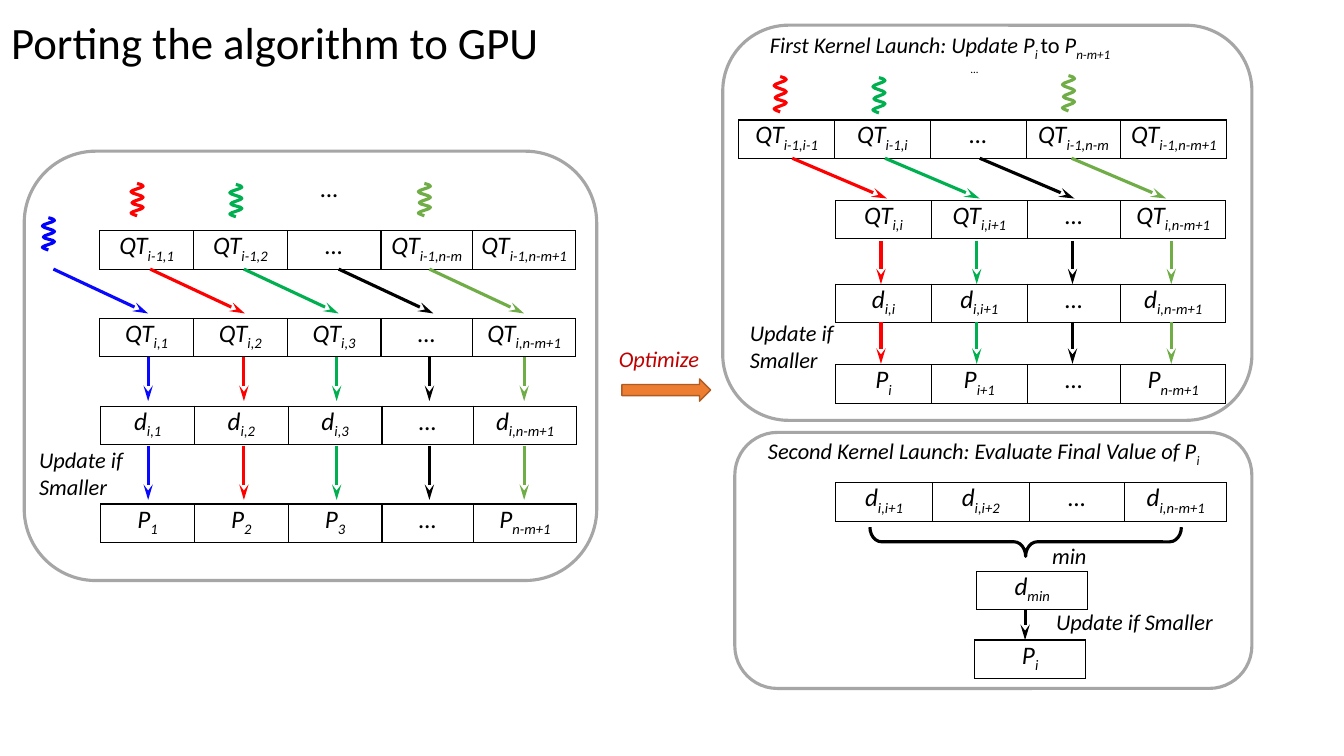
from lxml.etree import SubElement
from pptx import Presentation
from pptx.dml.color import RGBColor
from pptx.enum.shapes import MSO_CONNECTOR, MSO_SHAPE
from pptx.enum.text import MSO_ANCHOR, MSO_AUTO_SIZE, PP_ALIGN
from pptx.oxml import parse_xml
from pptx.oxml.ns import nsdecls, qn
from pptx.util import Inches, Pt

BLACK = RGBColor(0x00, 0x00, 0x00)
RED = RGBColor(0xFF, 0x00, 0x00)
GREEN = RGBColor(0x00, 0xB0, 0x50)
OLIVE = RGBColor(0x70, 0xAD, 0x47)
BLUE = RGBColor(0x08, 0x08, 0xFF)
PURE_BLUE = RGBColor(0x00, 0x00, 0xFF)
GREY = RGBColor(0xA6, 0xA6, 0xA6)
ORANGE = RGBColor(0xED, 0x7D, 0x31)
BROWN = RGBColor(0xAF, 0x5C, 0x24)
CRIMSON = RGBColor(0xC0, 0x00, 0x00)

ROW_HEIGHT = 0.38
LEFT_WIDTHS = [0.93, 0.93, 0.93, 0.91, 1.02]
RIGHT_WIDTHS = [0.95, 0.95, 0.93, 1.04]
LEFT_ROWS = [
    (0.99, 2.29, ["QT_i-1,1", "QT_i-1,2", "…", "QT_i-1,n-m", "QT_i-1,n-m+1"]),
    (0.99, 3.16, ["QT_i,1", "QT_i,2", "QT_i,3", "…", "QT_i,n-m+1"]),
    (1.0, 4.03, ["d_i,1", "d_i,2", "d_i,3", "…", "d_i,n-m+1"]),
    (1.0, 5.0, ["P_1", "P_2", "P_3", "…", "P_n-m+1"]),
]
RIGHT_ROWS = [
    (8.29, 1.99, ["QT_i,i", "QT_i,i+1", "…", "QT_i,n-m+1"]),
    (8.29, 2.82, ["d_i,i", "d_i,i+1", "…", "d_i,n-m+1"]),
    (8.29, 3.62, ["P_i", "P_i+1", "…", "P_n-m+1"]),
]
OTHER_ROWS = [
    (7.33, 1.19, [0.95, 0.95, 0.95, 0.94, 1.05],
     ["QT_i-1,i-1", "QT_i-1,i", "…", "QT_i-1,n-m", "QT_i-1,n-m+1"]),
    (8.29, 4.79, [0.96, 0.96, 0.95, 1.01], ["d_i,i+1", "d_i,i+2", "…", "d_i,n-m+1"]),
    (9.69, 5.67, [1.1], ["d_min"]),
    (9.67, 6.35, [1.1], ["P_i"]),
]
RIGHT_COLORS = [RED, GREEN, BLACK, OLIVE]
LEFT_COLORS = [BLUE] + RIGHT_COLORS
LEFT_CENTERS = [1.47, 2.42, 3.34, 4.26, 5.2]
RIGHT_CENTERS = [8.74, 9.69, 10.64, 11.62]
ARROW_ROWS = [
    (LEFT_COLORS, [0.53, 1.49, 2.42, 3.36, 4.26], 0.94, 2.67, 3.11),
    (LEFT_COLORS, LEFT_CENTERS, 0, 3.54, 3.98),
    (LEFT_COLORS, LEFT_CENTERS, 0, 4.42, 4.96),
    (RIGHT_COLORS, [7.86, 8.78, 9.72, 10.63], 0.94, 1.57, 1.97),
    (RIGHT_COLORS, RIGHT_CENTERS, 0, 2.39, 2.82),
    (RIGHT_COLORS, RIGHT_CENTERS, 0, 3.19, 3.61),
    ([BLACK], [10.17], 0, 6.04, 6.35),
]
THREADS = [
    (0.42, 2.16, 0.32, PURE_BLUE), (1.3, 1.82, 0.32, RED),
    (2.28, 1.83, 0.32, GREEN), (4.15, 1.82, 0.32, OLIVE),
    (7.68, 0.76, 0.35, RED), (8.66, 0.77, 0.35, GREEN), (10.54, 0.75, 0.35, OLIVE),
]
THREAD_HEIGHT = 0.35
THREAD_CURVE = [
    (0.06, 0), (0.1, 0.01), (0.12, 0.02), (0.12, 0.03), (0.11, 0.05), (0, 0.07),
    (0, 0.09), (0, 0.11), (0.12, 0.13), (0.12, 0.15), (0.12, 0.17), (0.01, 0.19),
    (0.01, 0.21), (0.01, 0.23), (0.12, 0.24), (0.12, 0.26), (0.12, 0.28),
    (0.01, 0.3), (0, 0.32), (0, 0.33), (0.06, 0.35), (0.06, 0.35),
]


def write_runs(para, markup, size, color=BLACK):
    """Write italic runs, lowering every second piece between underscores."""
    style = {"name": "Calibri", "size": Pt(size), "italic": True}
    for index, piece in enumerate(markup.split("_")):
        if not piece:
            continue
        span = para.add_run()
        span.text = piece
        for key, value in style.items():
            setattr(span.font, key, value)
        span.font.color.rgb = color
        if index % 2:
            span._r.get_or_add_rPr().set("baseline", "-25000")


def add_row(page, left, top, widths, entries):
    """Add a one-row table with black borders."""
    frame = page.shapes.add_table(1, len(widths), Inches(left), Inches(top),
                                  Inches(sum(widths)), Inches(ROW_HEIGHT))
    table = frame.table
    table.first_row = table.horz_banding = False
    table.rows[0].height = Inches(ROW_HEIGHT)
    for column, width, cell, entry in zip(table.columns, widths, table.rows[0].cells, entries):
        column.width = Inches(width)
        for side in ("left", "right", "top", "bottom"):
            setattr(cell, f"margin_{side}", 0)
        cell.fill.background()
        for index, edge in enumerate(("lnL", "lnR", "lnT", "lnB")):
            border = parse_xml(f'<a:{edge} {nsdecls("a")} w="12700"><a:solidFill>'
                               f'<a:srgbClr val="{BLACK}"/></a:solidFill></a:{edge}>')
            cell._tc.get_or_add_tcPr().insert(index, border)
        para = cell.text_frame.paragraphs[0]
        para.alignment = PP_ALIGN.CENTER
        write_runs(para, entry, 18)


def add_arrow(page, start, end, color):
    """Add a straight arrow with a long stealth head."""
    arrow = page.shapes.add_connector(MSO_CONNECTOR.STRAIGHT, *map(Inches, start + end))
    arrow.line.color.rgb = color
    arrow.line.width = Pt(2.25)
    SubElement(arrow.line._get_or_add_ln(), qn("a:tailEnd"), type="stealth", len="lg")
    SubElement(arrow._element.spPr, qn("a:effectLst"))


def outline(shape, color, width=2.25):
    """Leave only a coloured outline on a shape."""
    shape.shadow.inherit = False
    shape.fill.background()
    shape.line.color.rgb = color
    shape.line.width = Pt(width)


def add_outline(page, kind, area, color, width=2.25):
    """Add an unfilled preset shape."""
    shape = page.shapes.add_shape(kind, *map(Inches, area))
    outline(shape, color, width)
    return shape


def add_thread(page, left, top, height, color):
    """Add a wavy thread symbol made of cubic curves."""
    points = [(Inches(left + x), Inches(top + y * height / THREAD_HEIGHT))
              for x, y in THREAD_CURVE]
    builder = page.shapes.build_freeform(*points[0])
    builder.add_line_segments(points[1:], close=False)
    thread = builder.convert_to_shape()
    segments = list(thread._element.iter(qn("a:lnTo")))
    for first in range(0, len(segments), 3):
        curve = SubElement(segments[first].getparent(), qn("a:cubicBezTo"))
        for segment in segments[first:first + 3]:
            curve.append(segment[0])
            segment.getparent().remove(segment)
    outline(thread, color)


def add_label(page, area, markup, size=16, color=BLACK, wrap=True):
    """Add an italic label, centred when it does not wrap."""
    box = page.shapes.add_textbox(*map(Inches, area))
    frame = box.text_frame
    frame.word_wrap = wrap
    frame.auto_size = MSO_AUTO_SIZE.SHAPE_TO_FIT_TEXT
    para = frame.paragraphs[0]
    para.alignment = PP_ALIGN.LEFT if wrap else PP_ALIGN.CENTER
    write_runs(para, markup, size, color)
    return para


def set_title(page, text):
    """Place and format the slide title."""
    title = page.shapes.title
    title.left, title.top, title.width, title.height = map(Inches, (0.11, 0.21, 12.31, 0.58))
    frame = title.text_frame
    frame.text = text
    settings = {"margin_left": 0, "margin_right": 0, "margin_top": 0, "margin_bottom": 0,
                "word_wrap": False, "auto_size": MSO_AUTO_SIZE.NONE,
                "vertical_anchor": MSO_ANCHOR.TOP}
    for key, value in settings.items():
        setattr(frame, key, value)
    para = frame.paragraphs[0]
    para.alignment = PP_ALIGN.LEFT
    para.line_spacing = 0.9
    para.font.name = "Calibri"
    para.font.size = Pt(32)
    para.font.color.rgb = BLACK


def main():
    """Build the slide and save the deck."""
    deck = Presentation()
    deck.slide_width, deck.slide_height = Inches(40 / 3), Inches(7.5)
    page = deck.slides.add_slide(deck.slide_layouts[5])
    set_title(page, "Porting the algorithm to GPU")
    for widths, rows in ((LEFT_WIDTHS, LEFT_ROWS), (RIGHT_WIDTHS, RIGHT_ROWS)):
        for left, top, entries in rows:
            add_row(page, left, top, widths, entries)
    for row in OTHER_ROWS:
        add_row(page, *row)
    for colors, starts, shift, top, bottom in ARROW_ROWS:
        for color, x in zip(colors, starts):
            add_arrow(page, (x, top), (x + shift, bottom), color)
    for area in ((0.24, 1.5, 5.68, 4.26), (7.17, 0.25, 5.25, 3.92), (7.29, 4.29, 5.13, 2.54)):
        add_outline(page, MSO_SHAPE.ROUNDED_RECTANGLE, area, GREY)
    brace = add_outline(page, MSO_SHAPE.RIGHT_BRACE, (10.03, 3.83, 0.29, 3.09), BLACK)
    brace.rotation = 90
    brace.adjustments[0] = 0.398
    optimize = add_outline(page, MSO_SHAPE.RIGHT_ARROW, (6.17, 3.76, 0.88, 0.22), BROWN, 1)
    optimize.fill.solid()
    optimize.fill.fore_color.rgb = ORANGE
    for thread in THREADS:
        add_thread(page, *thread)
    add_label(page, (3.06, 1.66, 0.42, 0.36), "…", 18, wrap=False)
    add_label(page, (9.44, 0.57, 0.46, 0.51), "…", 8, wrap=False)
    first = add_label(page, (7.54, 0.26, 4.11, 0.37),
                      "First Kernel Launch: Update P_i _to __P_n-m+1")
    first.runs[2].font.italic = False
    add_label(page, (7.52, 4.29, 4.65, 0.37),
              "Second Kernel Launch: Evaluate Final Value of P_i")
    add_label(page, (10.34, 5.33, 1.01, 0.37), "min")
    add_label(page, (6.04, 3.38, 1.12, 0.37), "Optimize", color=CRIMSON)
    for area in ((10.38, 5.98, 2.66, 0.37), (0.29, 4.38, 1.08, 0.64), (7.34, 3.12, 1.08, 0.64)):
        add_label(page, area, "Update if Smaller")
    deck.save("out.pptx")


if __name__ == "__main__":
    main()
